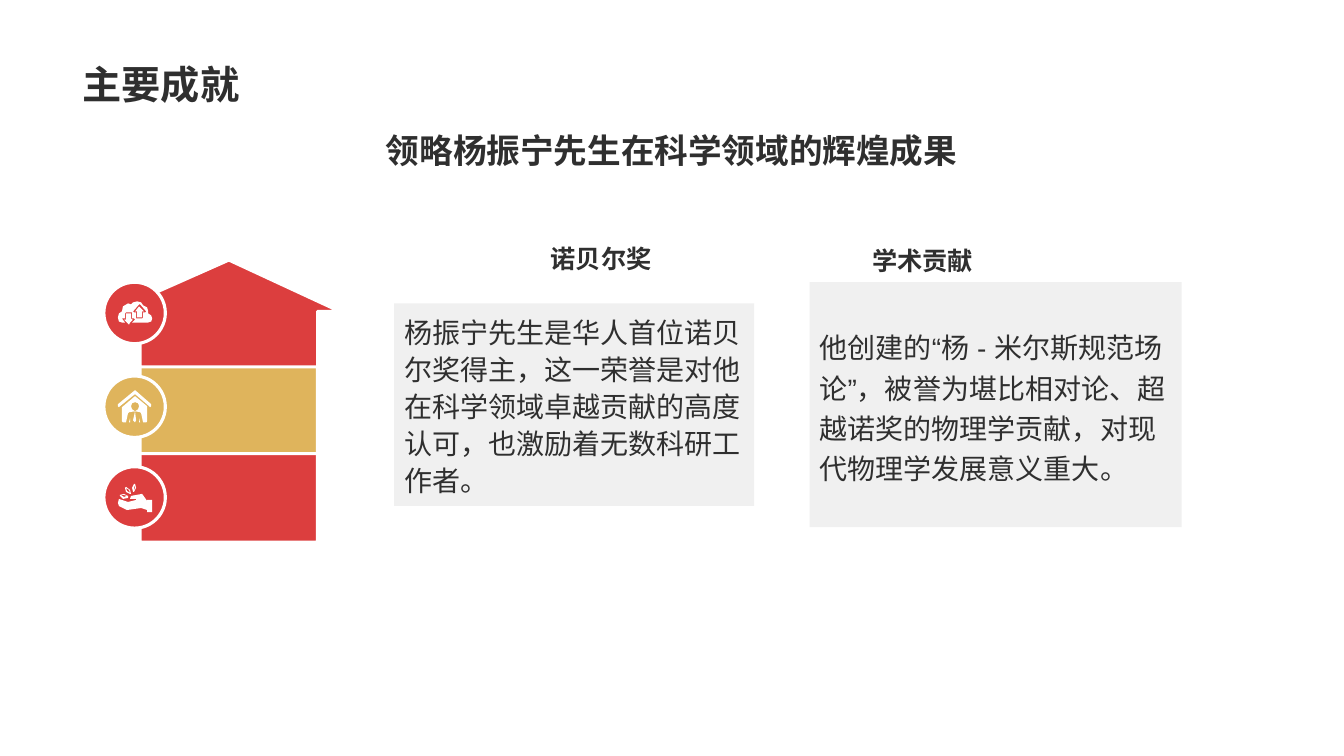
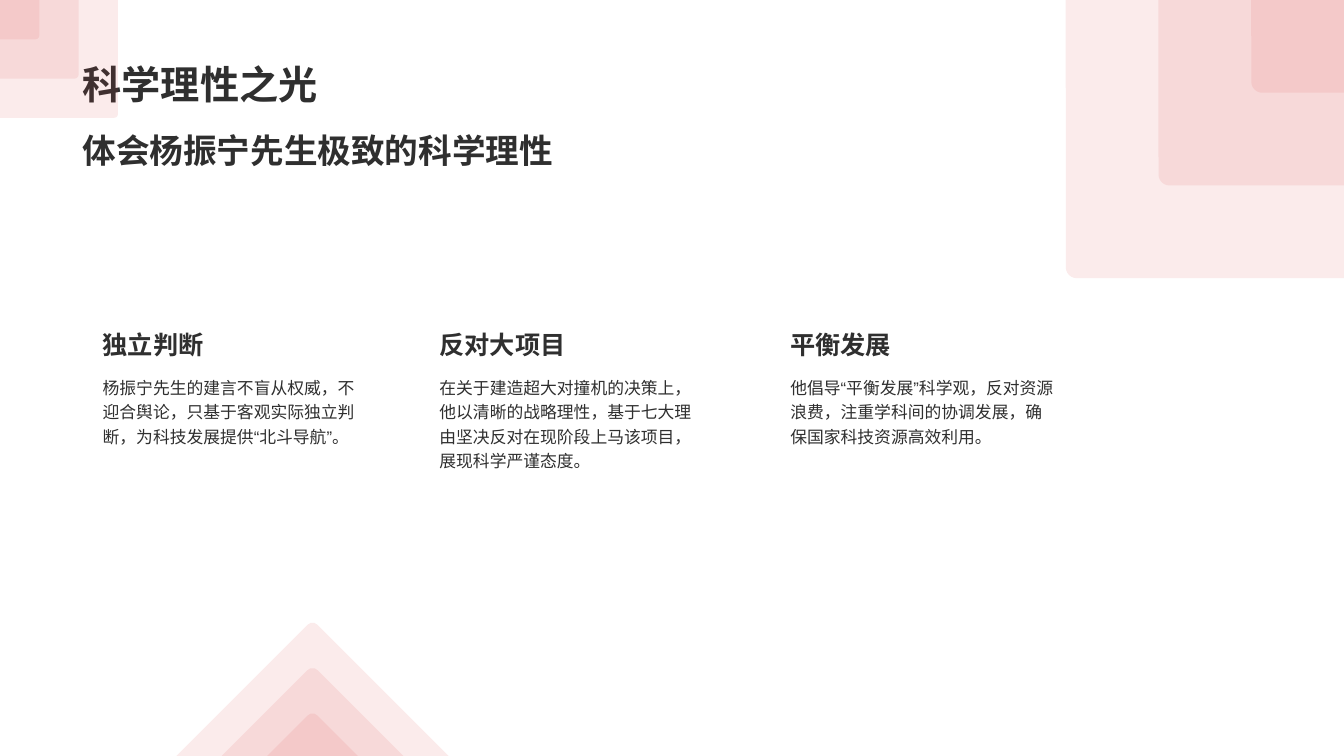
"""Builds two slides on a physicist's achievements and scientific reason."""
from dataclasses import dataclass

from lxml import etree
from pptx import Presentation
from pptx.dml.color import RGBColor
from pptx.enum.lang import MSO_LANGUAGE_ID
from pptx.enum.shapes import MSO_SHAPE
from pptx.enum.text import MSO_ANCHOR, MSO_AUTO_SIZE, PP_ALIGN
from pptx.oxml.ns import qn
from pptx.util import Pt

PX = 9144
LEFT, CENTER, RIGHT = PP_ALIGN.LEFT, PP_ALIGN.CENTER, PP_ALIGN.RIGHT
TOP, MIDDLE, BOTTOM = MSO_ANCHOR.TOP, MSO_ANCHOR.MIDDLE, MSO_ANCHOR.BOTTOM
RECTANGLE, OVAL = MSO_SHAPE.RECTANGLE, MSO_SHAPE.OVAL
ONE_ROUND_CORNER = MSO_SHAPE.ROUND_1_RECTANGLE
CHINESE = MSO_LANGUAGE_ID.SIMPLIFIED_CHINESE
NO_AUTOFIT = MSO_AUTO_SIZE.NONE
TITLE_ONLY = 5
WIDTH, HEIGHT = 1333, 750


@dataclass(frozen=True)
class Theme:
    """Colours, font and type sizes of the deck."""
    font: str = "Arial"
    ink: str = "2F2F2F"
    red: str = "DC3E3E"
    gold: str = "DFB45C"
    panel: str = "F0F0F0"
    white: str = "FFFFFF"
    title: int = 28
    subtitle: int = 24
    heading: int = 18
    lead: int = 20
    body: int = 12
    outline: float = 2.25
    tint: int = 10


class Deck:
    """Holds the presentation, its theme and the current page."""

    def __init__(self, theme):
        """Start an empty wide deck."""
        self.theme = theme
        self.deck = Presentation()
        self.deck.slide_width, self.deck.slide_height = WIDTH * PX, HEIGHT * PX
        self.page = None

    def new_page(self, title):
        """Add a page with its title."""
        self.page = self.deck.slides.add_slide(self.deck.slide_layouts[TITLE_ONLY])
        box = self.page.shapes.title
        box.left, box.top, box.width, box.height = (n * PX for n in (72, 14, 1188, 98))
        self.set_text(box, title, self.theme.title, bold=True, anchor=BOTTOM)

    def set_text(self, shape, text, size, bold=False, align=LEFT, anchor=TOP, spacing=1.0):
        """Put one styled paragraph into a shape."""
        frame = shape.text_frame
        frame.word_wrap = True
        frame.auto_size = NO_AUTOFIT
        frame.vertical_anchor = anchor
        para = frame.paragraphs[0]
        para.alignment = align
        para.line_spacing = spacing
        span = para.add_run()
        span.text = text
        font = span.font
        font.name, font.size, font.bold = self.theme.font, Pt(size), bold
        font.language_id = CHINESE
        font.color.rgb = RGBColor.from_string(self.theme.ink)
        east_asian = etree.SubElement(span._r.get_or_add_rPr(), qn("a:ea"))
        east_asian.set("typeface", self.theme.font)

    def text(self, place, text, size, **style):
        """Add a text box."""
        box = self.page.shapes.add_textbox(*(n * PX for n in place))
        self.set_text(box, text, size, **style)

    def paint(self, shape, color, outlined=False, opacity=100):
        """Set fill, outline and opacity of a shape."""
        shape.shadow.inherit = False
        shape.fill.solid()
        shape.fill.fore_color.rgb = RGBColor.from_string(color)
        if outlined:
            shape.line.color.rgb = RGBColor.from_string(self.theme.white)
            shape.line.width = Pt(self.theme.outline)
        else:
            shape.line.fill.background()
        if opacity < 100:
            tone = shape._element.spPr.find(".//" + qn("a:srgbClr"))
            etree.SubElement(tone, qn("a:alpha")).set("val", str(opacity * 1000))

    def shape(self, kind, place, color, **look):
        """Add a painted preset shape."""
        shape = self.page.shapes.add_shape(kind, *(n * PX for n in place))
        self.paint(shape, color, **look)
        return shape

    def outline(self, contours, color, **look):
        """Add a painted freeform made of closed contours."""
        builder = self.page.shapes.build_freeform(*contours[0][0], scale=PX)
        for index, points in enumerate(contours):
            if index:
                builder.move_to(*points[0])
            builder.add_line_segments(points[1:], close=True)
        self.paint(builder.convert_to_shape(), color, **look)

    def panel(self, place, text, spacing):
        """Add a grey panel with lead text."""
        box = self.shape(RECTANGLE, place, self.theme.panel)
        self.set_text(box, text, self.theme.lead, anchor=MIDDLE, spacing=spacing)

    def floor(self, body, badge_top, icon, color):
        """Add one storey of the tower with its round badge."""
        self.outline([body], color, outlined=True)
        self.shape(OVAL, (103, badge_top, 61, 61), color, outlined=True)
        self.outline(icon, self.theme.white)

    def corner_squares(self, right, step, radius, rotation):
        """Nest three tinted squares in a top corner."""
        for size in (3 * step, 2 * step, step):
            left = WIDTH - size if right else 0
            square = self.shape(ONE_ROUND_CORNER, (left, 0, size, size),
                                self.theme.red, opacity=self.theme.tint)
            square.adjustments[0] = radius / size
            square.rotation = rotation

    def foot_peaks(self, center, top, step):
        """Nest three tinted peaks on the bottom edge."""
        for level in range(3):
            peak, half = top + level * step, (3 - level) * step
            right_side = [(2, peak), (5, peak + 2), (half, HEIGHT)]
            points = [(center + x, y) for x, y in right_side]
            points += [(center - x, y) for x, y in reversed(right_side)]
            self.outline([points], self.theme.red, opacity=self.theme.tint)


HAND_ICON = [
    [(129, 495), (130, 492), (141, 490), (146, 497), (146, 496), (151, 496),
     (151, 508), (146, 508), (146, 506), (140, 504), (126, 506), (118, 502),
     (117, 499), (118, 495), (127, 498), (135, 496), (135, 495)],
    [(127, 492), (127, 494), (122, 495), (119, 492), (119, 491), (123, 490)],
    [(120, 491), (123, 493), (126, 492), (123, 491)],
    [(130, 490), (129, 490), (125, 488), (124, 484), (125, 483), (129, 486)],
    [(125, 484), (126, 487), (129, 489), (128, 486)],
    [(133, 488), (132, 488), (131, 484), (133, 480), (134, 480), (135, 484)],
    [(134, 481), (133, 484), (133, 487), (134, 484)],
]
HOUSE_ICON = [
    [(138, 415), (139, 419), (138, 419)],
    [(129, 415), (129, 419), (128, 419)],
    [(134, 399), (131, 400), (130, 403), (131, 406), (134, 408),
     (137, 406), (138, 403), (137, 400)],
    [(134, 393), (146, 403), (146, 418), (145, 419), (142, 419), (140, 410),
     (139, 409), (134, 408), (135, 417), (134, 419), (132, 417), (134, 408),
     (128, 409), (127, 410), (125, 419), (122, 419), (121, 418), (121, 404)],
    [(134, 387), (150, 401), (150, 403), (149, 404), (148, 403), (134, 391),
     (119, 403), (118, 404), (117, 403), (117, 401)],
]
CLOUD_ICON = [
    [(125, 311), (130, 311), (130, 316), (131, 317), (132, 317), (129, 320),
     (128, 322), (126, 320), (123, 317), (125, 317)],
    [(138, 304), (143, 309), (141, 309), (141, 315), (136, 315), (136, 309),
     (134, 309)],
    [(138, 302), (132, 309), (133, 310), (135, 310), (135, 316), (141, 316),
     (142, 315), (142, 310), (144, 310), (145, 309), (139, 302)],
    [(136, 299), (140, 300), (142, 303), (146, 305), (147, 309), (147, 311),
     (150, 313), (151, 316), (150, 319), (147, 320), (131, 320), (134, 317),
     (133, 316), (131, 316), (131, 310), (125, 310), (124, 311), (124, 316),
     (121, 316), (124, 320), (121, 320), (118, 319), (117, 315), (118, 311),
     (121, 309), (122, 304), (127, 301), (130, 302), (132, 300)],
]
ROOF = [(337, 309), (227, 258), (112, 309), (139, 309), (139, 364), (315, 364), (315, 309)]


def storey(top):
    """Return the outline of a storey whose notch peaks at top."""
    eave, base = top + 13, top + 102
    return [(243, eave), (226, top), (208, eave), (139, eave),
            (139, base), (315, base), (315, eave)]


def achievements(deck):
    """Build the page on main achievements."""
    theme = deck.theme
    deck.new_page("主要成就")
    deck.text((72, 124, 1188, 50), "领略杨振宁先生在科学领域的辉煌成果",
              theme.subtitle, bold=True, align=CENTER)
    for body, badge_top, icon, color in (
            (storey(436), 463, HAND_ICON, theme.red),
            (storey(348), 373, HOUSE_ICON, theme.gold),
            (ROOF, 280, CLOUD_ICON, theme.red)):
        deck.floor(body, badge_top, icon, color)
    for heading, heading_at, text, panel_at, spacing in (
            ("诺贝尔奖", (397, 223, 259, 66),
             "杨振宁先生是华人首位诺贝尔奖得主，这一荣誉是对他在科学领域卓越贡献的高度认可，也激励着无数科研工作者。",
             (391, 301, 357, 201), 1.1),
            ("学术贡献", (716, 225, 259, 66),
             "他创建的“杨 - 米尔斯规范场论”，被誉为堪比相对论、超越诺奖的物理学贡献，对现代物理学发展意义重大。",
             (803, 280, 369, 243), 1.2)):
        deck.text(heading_at, heading, theme.heading, bold=True, align=RIGHT, anchor=MIDDLE)
        deck.panel(panel_at, text, spacing)


def reason(deck):
    """Build the page on scientific reason."""
    theme = deck.theme
    deck.new_page("科学理性之光")
    deck.corner_squares(right=True, step=92, radius=11, rotation=180)
    deck.corner_squares(right=False, step=39, radius=4, rotation=90)
    deck.foot_peaks(center=310, top=618, step=45)
    deck.text((72, 124, 987, 132), "体会杨振宁先生极致的科学理性", theme.subtitle, bold=True)
    for left, heading, text in (
            (92, "独立判断",
             "杨振宁先生的建言不盲从权威，不迎合舆论，只基于客观实际独立判断，为科技发展提供“北斗导航”。"),
            (426, "反对大项目",
             "在关于建造超大对撞机的决策上，他以清晰的战略理性，基于七大理由坚决反对在现阶段上马该项目，展现科学严谨态度。"),
            (774, "平衡发展",
             "他倡导“平衡发展”科学观，反对资源浪费，注重学科间的协调发展，确保国家科技资源高效利用。")):
        deck.text((left, 291, 285, 71), heading, theme.heading, bold=True, anchor=BOTTOM)
        deck.text((left, 366, 285, 191), text, theme.body, spacing=1.2)


def main():
    """Build and save the deck."""
    deck = Deck(Theme())
    achievements(deck)
    reason(deck)
    deck.deck.save("out.pptx")


if __name__ == "__main__":
    main()
